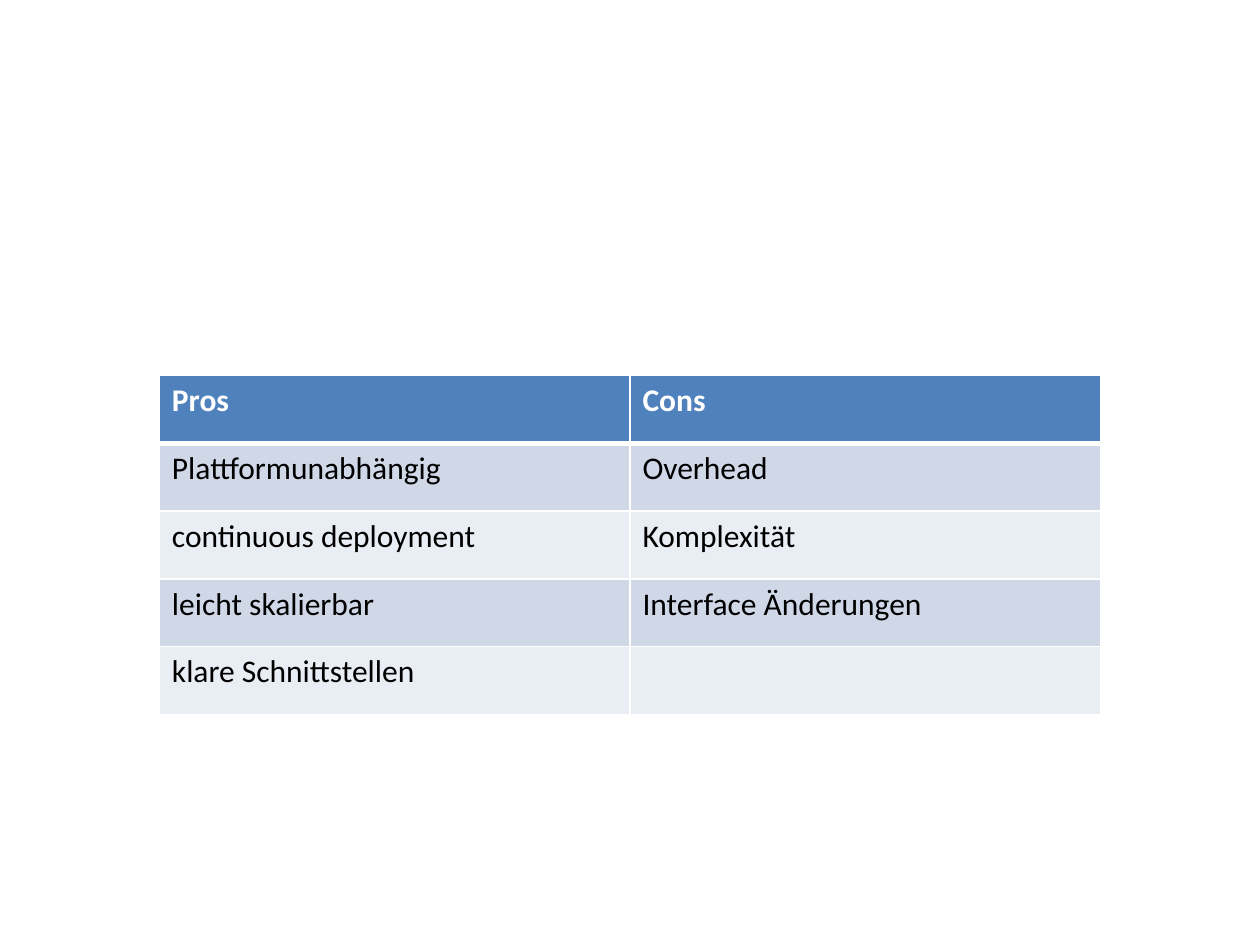
import pptx
import pptx.dml.color
import pptx.oxml
import pptx.oxml.ns
import pptx.util

WIDTH, HEIGHT = 10, 7.5
ROWS = [
    ("Pros", "Cons"),
    ("Plattformunabhängig", "Overhead"),
    ("continuous\u00a0deployment", "Komplexität"),
    ("leicht skalierbar", "Interface Änderungen"),
    ("klare Schnittstellen", ""),
]
HEADER_FILL = "4F81BD"
BAND_FILLS = ("D0D8E8", "E9EDF4")
HEADER_FONT = {"name": "Calibri", "size": pptx.util.Pt(18), "bold": True}
BODY_FONT = {**HEADER_FONT, "bold": False}


def color(hex_value):
    """Turn a hex string into a colour."""
    return pptx.dml.color.RGBColor.from_string(hex_value)


def set_borders(cell, widths, hex_value="FFFFFF"):
    """Draw the cell's edges; widths maps L, R, T, B to points."""
    tc_pr = cell._tc.get_or_add_tcPr()
    for side, points in widths.items():
        tc_pr.append(pptx.oxml.parse_xml(
            f'<a:ln{side} {pptx.oxml.ns.nsdecls("a")} w="{pptx.util.Pt(points)}">'
            f'<a:solidFill><a:srgbClr val="{hex_value}"/></a:solidFill>'
            f'</a:ln{side}>'))


def fill_cell(cell, fill):
    """Give one cell a plain fill."""
    cell.fill.solid()
    cell.fill.fore_color.rgb = color(fill)


def write_cell(cell, text, font_color, font):
    """Write and format the text of one cell."""
    r = cell.text_frame.paragraphs[0].add_run()
    r.text = text
    for name, value in font.items():
        setattr(r.font, name, value)
    r.font.color.rgb = color(font_color)


def add_pros_cons(s, top, width, height):
    """Add the centred table; lengths are shares of the slide's size."""
    x, w = (pptx.util.Inches(share * WIDTH) for share in ((1 - width) / 2, width))
    y, h = (pptx.util.Inches(share * HEIGHT) for share in (top, height))
    table = s.shapes.add_table(len(ROWS), len(ROWS[0]), x, y, w, h).table
    for i, row in enumerate(ROWS):
        header = i == 0
        fill = HEADER_FILL if header else BAND_FILLS[(i - 1) % 2]
        widths = {"L": 1, "R": 1, "T": 3 if i == 1 else 1, "B": 3 if header else 1}
        for j, text in enumerate(row):
            cell = table.cell(i, j)
            set_borders(cell, widths)
            fill_cell(cell, fill)
            if text:
                write_cell(cell, text, "FFFFFF" if header else "000000",
                           HEADER_FONT if header else BODY_FONT)


def main():
    """Build the slide and save it."""
    prs = pptx.Presentation()
    prs.slide_width = pptx.util.Inches(WIDTH)
    prs.slide_height = pptx.util.Inches(HEIGHT)
    s = prs.slides.add_slide(prs.slide_layouts[6])
    add_pros_cons(s, top=2.98 / HEIGHT, width=0.747, height=2.69 / HEIGHT)
    prs.save("out.pptx")


main()
